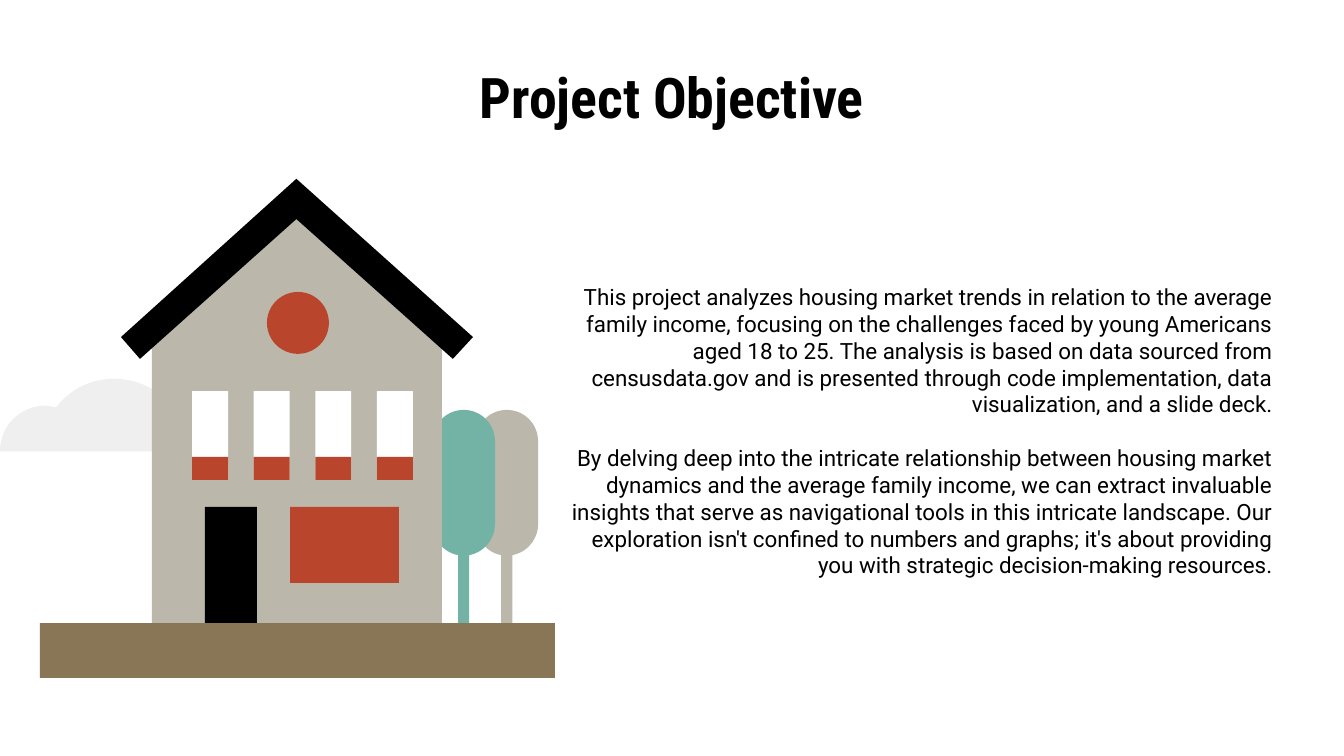
"""Build the Project Objective slide with its house illustration."""
from pptx import Presentation
from pptx.dml.color import RGBColor
from pptx.enum.shapes import MSO_SHAPE
from pptx.enum.text import MSO_ANCHOR, PP_ALIGN
from pptx.util import Pt

RECTANGLE, OVAL = MSO_SHAPE.RECTANGLE, MSO_SHAPE.OVAL
MIDDLE = MSO_ANCHOR.MIDDLE
CENTER, RIGHT = PP_ALIGN.CENTER, PP_ALIGN.RIGHT

THEME = {
    "black": "000000", "white": "FFFFFF", "cloud": "EFEFEF", "stone": "BCB7AB",
    "teal": "72B3A5", "red": "B9462C", "earth": "897657",
    "title": {"name": "Roboto Condensed", "size": Pt(30), "bold": True},
    "body": {"name": "Roboto", "size": Pt(12), "bold": False},
}
FRAME_FORMAT = {
    "word_wrap": True, "vertical_anchor": MIDDLE,
    "margin_left": Pt(7.2), "margin_right": Pt(7.2),
    "margin_top": Pt(7.2), "margin_bottom": Pt(7.2),
}

TITLE = ["Project Objective"]
OBJECTIVES = [
    "This project analyzes housing market trends in relation to the average family "
    "income, focusing on the challenges faced by young Americans aged 18 to 25. The "
    "analysis is based on data sourced from censusdata.gov and is presented through "
    "code implementation, data visualization, and a slide deck.",
    "By delving deep into the intricate relationship between housing market dynamics "
    "and the average family income, we can extract invaluable insights that serve as "
    "navigational tools in this intricate landscape. Our exploration isn't confined to "
    "numbers and graphs; it's about providing you with strategic decision-making "
    "resources.",
]
TEXTS = [
    (TITLE, (36, 32.4, 648, 38.2), "title", CENTER),
    (OBJECTIVES, (298.8, 93.6, 390.2, 274.3), "body", RIGHT),
]

# Outline steps: two numbers make a line, six make a Bezier curve.
CLOUD = [
    (61.2, 203), (48.2, 203, 37.4, 208.8, 30.2, 218.2),
    (28.1, 218.2, 26.6, 217.4, 24.5, 217.4), (10.8, 217.4, 0, 228.2, 0, 241.9),
    (155.5, 241.9), (155.5, 233.3, 149, 226.1, 140.4, 226.1),
    (136.1, 226.1, 132.5, 228.2, 129.6, 230.4), (126, 222.5, 117.4, 217.4, 108, 217.4),
    (103, 217.4, 98.6, 218.9, 94.3, 221.8), (87.8, 210.2, 75.6, 203, 61.2, 203),
]
TREE = [
    (16.75, 0), (7.5, 0, 0, 7.5, 0, 16.9), (0, 61.2),
    (0, 69.1, 5.8, 76.3, 13.7, 77.8), (13.7, 114.2), (19.7, 114.2), (19.7, 77.8),
    (27.7, 76.3, 33.5, 69.1, 33.5, 61.2), (33.5, 16.9), (33.5, 7.5, 26, 0, 16.75, 0),
]
WALL = [(158.8, 106.6), (81.4, 179.3), (81.4, 333.8), (236.8, 333.8), (236.8, 179.3)]
ROOF = [(158.8, 95.8), (64.8, 180.6), (75, 192.3), (158.8, 117.4), (242.6, 192.3),
        (253.4, 180.6)]
OUTLINES = [
    (CLOUD, (0, 0), "cloud"), (TREE, (254.8, 219.6), "stone"),
    (TREE, (231.7, 219.6), "teal"), (WALL, (0, 0), "stone"), (ROOF, (0, 0), "black"),
]
WINDOWS = {"count": 4, "left": 102.9, "step": 33, "width": 19.3}
WINDOW_PARTS = [(209.5, 47.6, "white"), (244.8, 12.3, "red")]
BLOCKS = [
    (RECTANGLE, (109.8, 271.6, 27.9, 62.2), "black"),
    (RECTANGLE, (155.4, 271.6, 58.4, 40.7), "red"),
    (OVAL, (143, 156.4, 33.2, 33.2), "red"),
    (RECTANGLE, (21.4, 333.8, 275.9, 29.4), "earth"),
]
CURVE_STEPS = 16


def color(key):
    return RGBColor.from_string(THEME[key])


def apply(target, values):
    for key, value in values.items():
        setattr(target, key, value)


def paint(shape, fill):
    shape.shadow.inherit = False
    shape.fill.solid()
    shape.fill.fore_color.rgb = color(fill)
    shape.line.fill.background()


def trace(outline):
    points = [outline[0]]
    for step in outline[1:]:
        if len(step) == 2:
            points.append(step)
            continue
        controls = [points[-1], step[:2], step[2:4], step[4:]]
        for i in range(1, CURVE_STEPS + 1):
            t = i / CURVE_STEPS
            weights = ((1 - t) ** 3, 3 * t * (1 - t) ** 2, 3 * t * t * (1 - t), t ** 3)
            points.append(tuple(sum(w * c[axis] for w, c in zip(weights, controls))
                                for axis in (0, 1)))
    return points


def add_outline(slide, outline, origin, fill):
    points = [(Pt(x + origin[0]), Pt(y + origin[1])) for x, y in trace(outline)]
    builder = slide.shapes.build_freeform(*points[0])
    builder.add_line_segments(points[1:], close=True)
    paint(builder.convert_to_shape(), fill)


def add_block(slide, preset, box, fill):
    paint(slide.shapes.add_shape(preset, *map(Pt, box)), fill)


def add_text(slide, paragraphs, box, style, alignment):
    frame = slide.shapes.add_textbox(*map(Pt, box)).text_frame
    apply(frame, FRAME_FORMAT)
    for index, wording in enumerate(paragraphs):
        paragraph = frame.add_paragraph() if index else frame.paragraphs[0]
        apply(paragraph, {"alignment": alignment, "space_before": Pt(14.3 * bool(index))})
        run = paragraph.add_run()
        run.text = wording
        apply(run.font, THEME[style])
        run.font.color.rgb = color("black")


def main():
    deck = Presentation()
    apply(deck, {"slide_width": Pt(720), "slide_height": Pt(405)})
    slide = deck.slides.add_slide(deck.slide_layouts[6])
    for text in TEXTS:
        add_text(slide, *text)
    for outline in OUTLINES:
        add_outline(slide, *outline)
    for top, height, fill in WINDOW_PARTS:
        for i in range(WINDOWS["count"]):
            left = WINDOWS["left"] + i * WINDOWS["step"]
            add_block(slide, RECTANGLE, (left, top, WINDOWS["width"], height), fill)
    for block in BLOCKS:
        add_block(slide, *block)
    deck.save("out.pptx")


if __name__ == "__main__":
    main()
